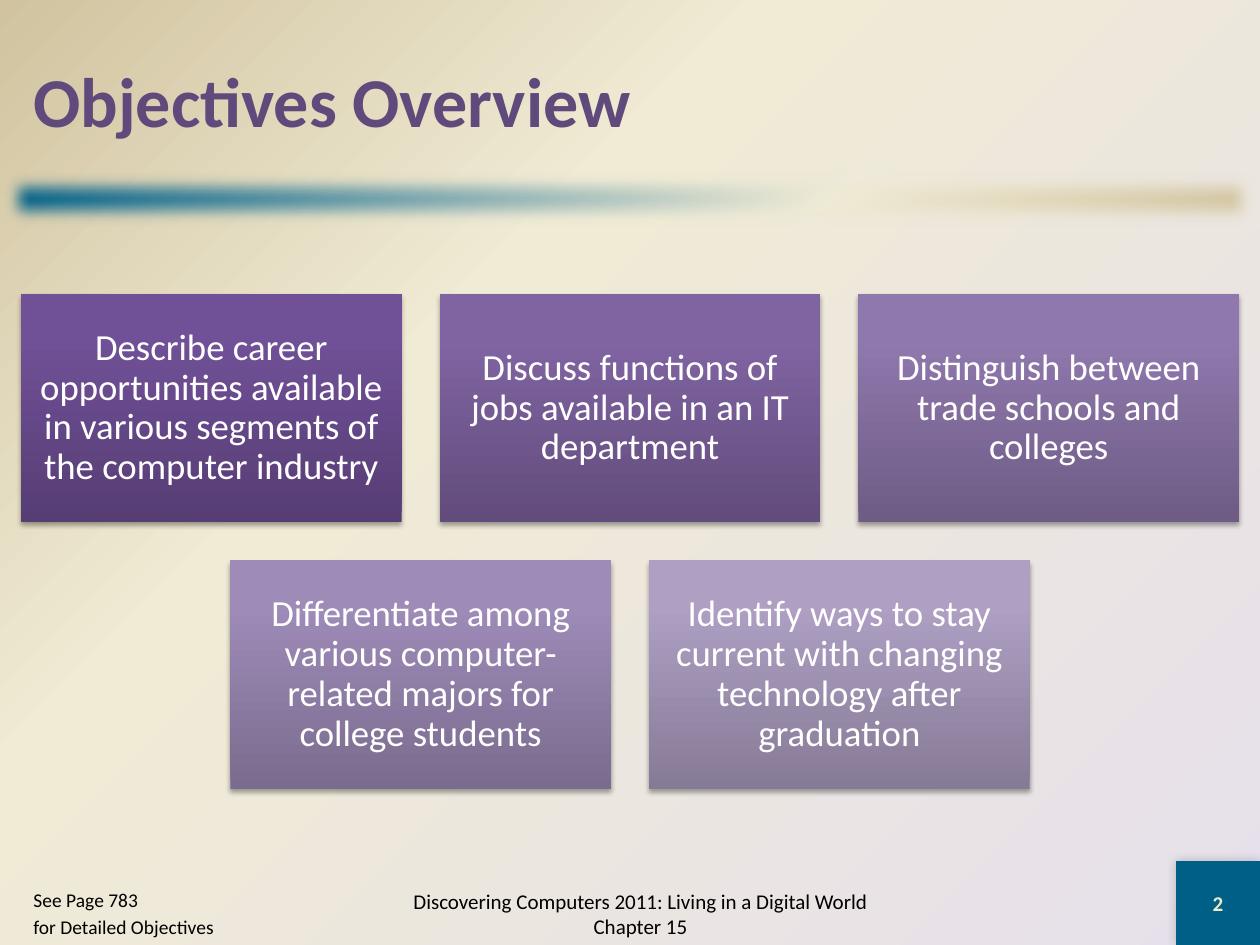
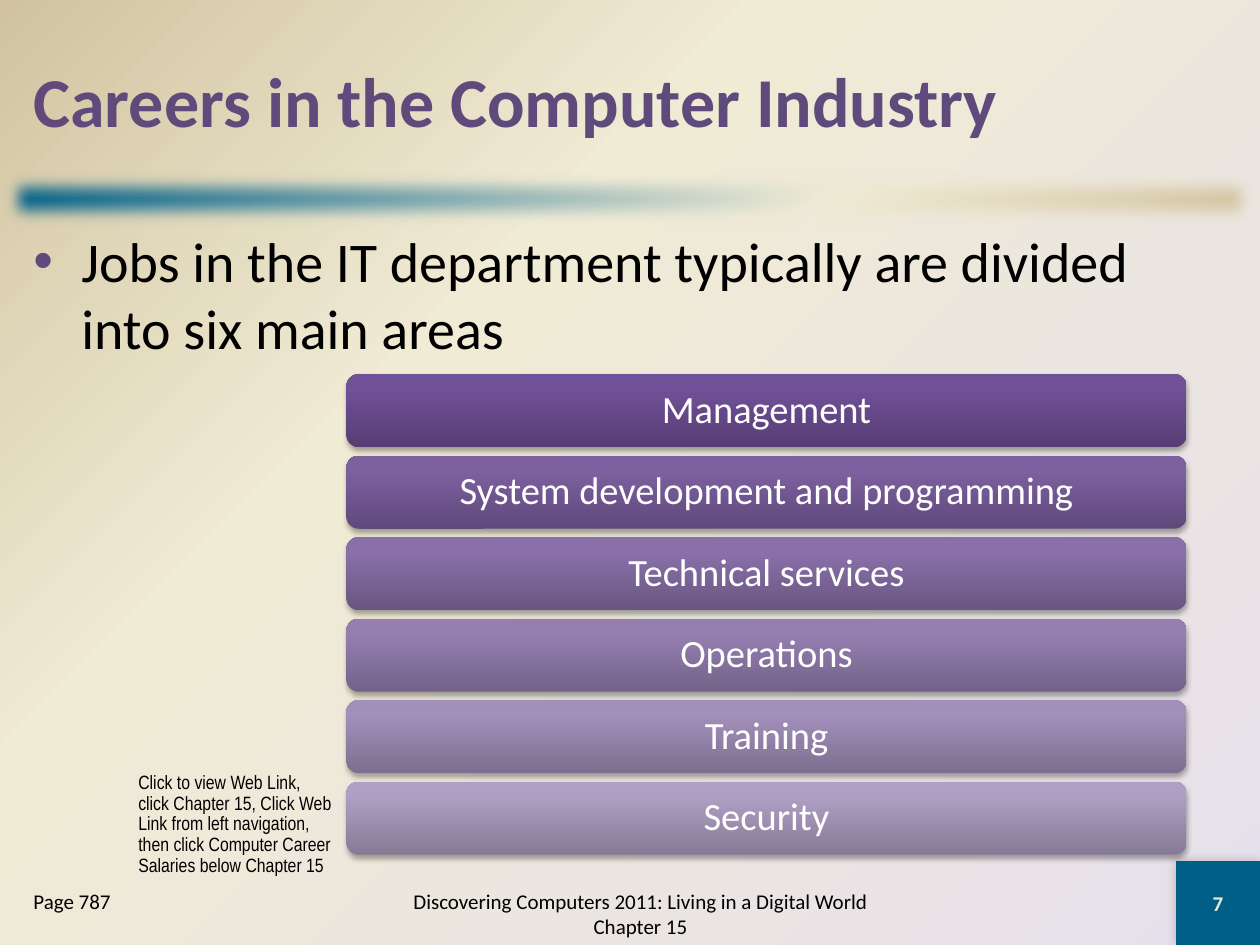
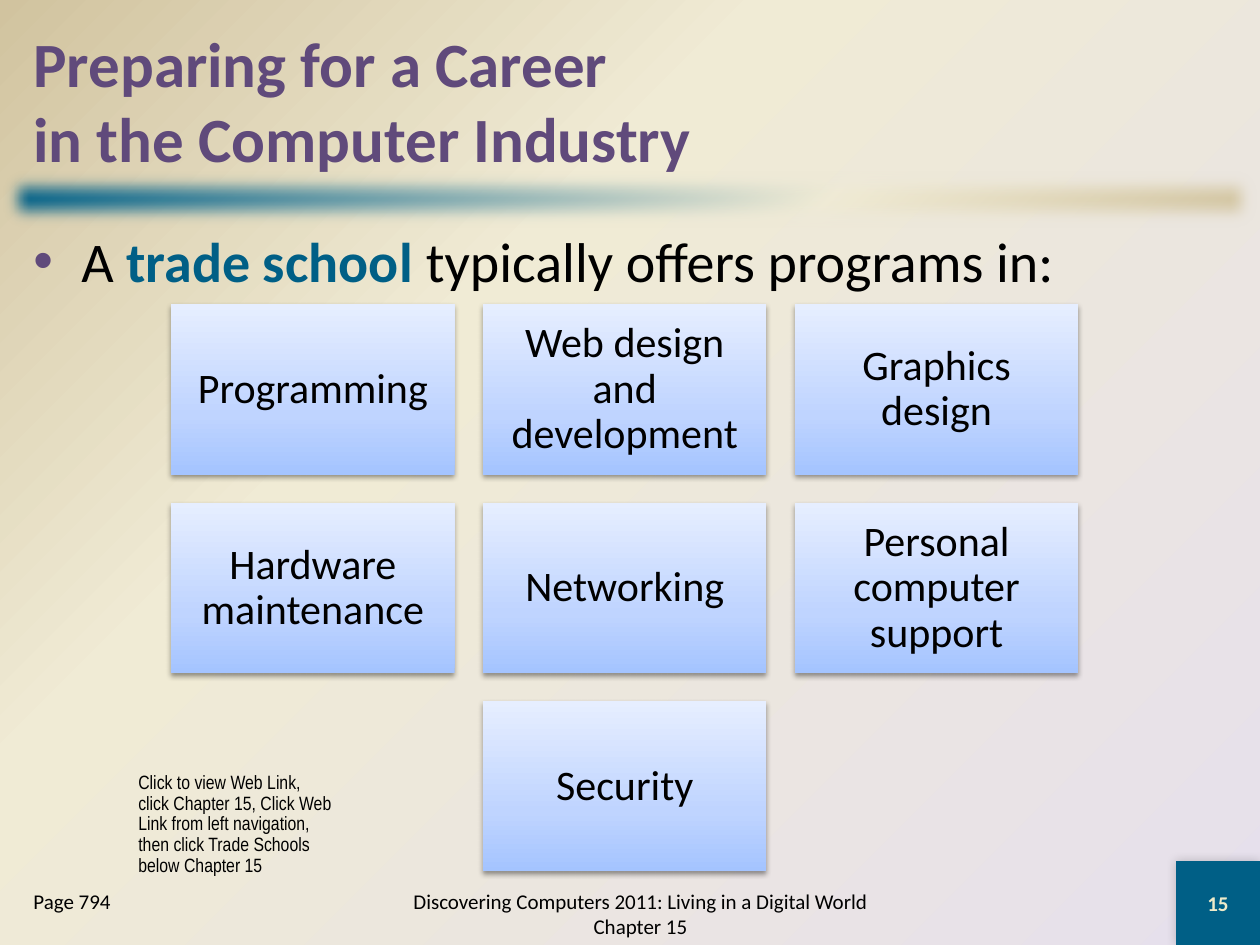
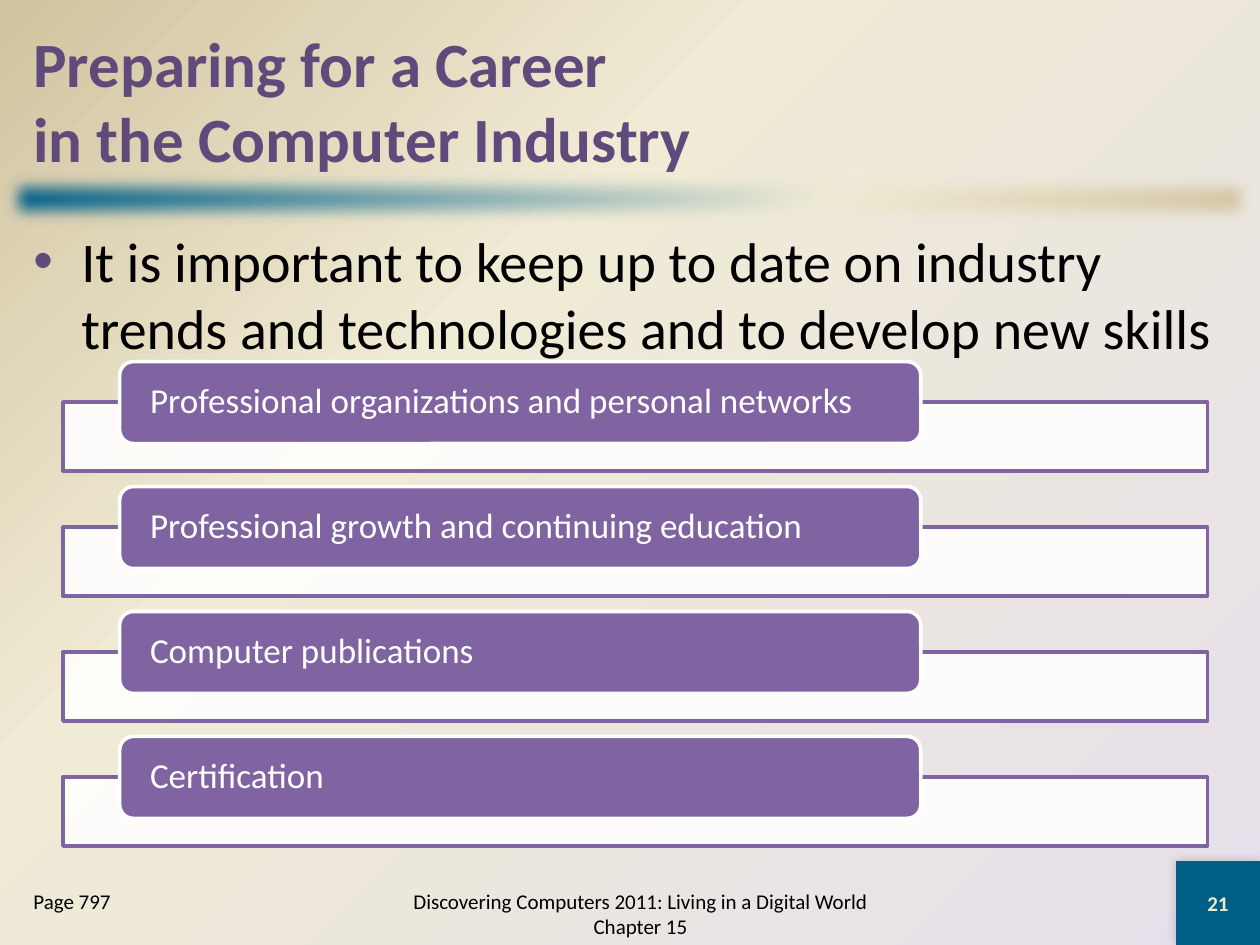
from dataclasses import dataclass

from lxml import etree
from pptx import Presentation
from pptx import util as u
from pptx.dml.color import RGBColor
from pptx.enum import shapes, text
from pptx.oxml.ns import qn

RECT = shapes.MSO_SHAPE.RECTANGLE
ROUND = shapes.MSO_SHAPE.ROUNDED_RECTANGLE
LEFT, MID = text.PP_ALIGN.LEFT, text.PP_ALIGN.CENTER


@dataclass(frozen=True)
class Theme:
    # Colours
    teal: str = "005F86"
    cream: str = "F0EBD5"
    sand: str = "D1C39F"
    lilac: str = "E6E0EC"
    plum: str = "604A7B"
    violet: str = "8064A2"
    pale: str = "EEEBCA"
    white: str = "FFFFFF"
    black: str = "000000"
    # Gradients run from the bottom up, as (position, colour)
    dark: tuple = ((0, "563D74"), (80, "705097"), (100, "704F99"))
    light: tuple = ((0, "867B96"), (80, "AE9FC3"), (100, "AE9FC4"))
    blue: tuple = ((0, "A4C4FF"), (35, "BFD4FF"), (100, "E6EEFF"))
    # Shadows: opacity, blur, distance, direction
    soft: tuple = (35, 3.1, 1.8, 90)
    firm: tuple = (38, 3.1, 1.6, 90)
    glow: tuple = (20, 6, 0, 225)
    # Type
    font: str = "Calibri"
    slim: str = "Arial Narrow"
    head: int = 40
    head2: int = 36
    body: int = 32
    foot: int = 12
    note: int = 11


def add(parent, tag, **attrs):
    """Append one drawing element."""
    node = etree.SubElement(parent, qn("a:" + tag))
    for key, val in attrs.items():
        node.set(key, str(val))
    return node


def blend(a, b, part):
    """Mix two hex colours."""
    pairs = zip(RGBColor.from_string(a), RGBColor.from_string(b))
    return "".join(f"{round(x + (y - x) * part):02X}" for x, y in pairs)


def ramp(first, last, count):
    """Even steps from one gradient to another."""
    return [[(pos, blend(a, b, i / (count - 1)))
             for (pos, a), (_, b) in zip(first, last)] for i in range(count)]


def grade(root, stops, angle=None):
    """Fill in the gradient under root; without an angle it spreads from a corner."""
    fill = root.find(".//" + qn("a:gradFill"))
    fill.clear()
    fill.set("rotWithShape", "1")
    group = add(fill, "gsLst")
    for pos, hue in stops:
        add(add(group, "gs", pos=pos * 1000), "srgbClr", val=hue)
    if angle is None:
        way = add(fill, "path", path="circle")
        add(way, "fillToRect", l=100000, t=100000)
        add(fill, "tileRect", r=-100000, b=-100000)
    else:
        add(fill, "lin", ang=angle * 60000, scaled=0)


class Deck:
    COLS, ROWS = 60, 45

    def __init__(self, theme):
        self.t = theme
        self.prs = Presentation()
        self.prs.slide_width, self.prs.slide_height = u.Inches(10), u.Inches(7.5)
        self.slide = None
        master = self.prs.slide_master
        master.background.fill.gradient()
        grade(master.element, ((0, theme.lilac), (65, theme.cream), (100, theme.sand)))

    def place(self, x, y, w, h):
        """Turn grid columns and rows into lengths."""
        col = self.prs.slide_width / self.COLS
        row = self.prs.slide_height / self.ROWS
        return [round(v) for v in (x * col, y * row, w * col, h * row)]

    def fill_in(self, frame, paras, size, hue, bold=False, font=None, align=LEFT,
                anchor=text.MSO_ANCHOR.MIDDLE, pad=None, lead=None, gap=0):
        """Set paragraphs; one may be a list of (text, accent) parts."""
        frame.word_wrap = True
        frame.vertical_anchor = anchor
        if pad:
            frame.margin_left = frame.margin_right = u.Inches(pad[0])
            frame.margin_top = frame.margin_bottom = u.Inches(pad[1])
        for i, item in enumerate(paras):
            para = frame.add_paragraph() if i else frame.paragraphs[0]
            para.alignment = align
            if lead:
                para.line_spacing = lead
            if i and gap:
                para.space_before = u.Pt(gap)
            if isinstance(item, str):
                para.text = item
                marks = [None] * len(para.runs)
            else:
                for part, _ in item:
                    para.add_run().text = part
                marks = [mark for _, mark in item]
            for run, mark in zip(para.runs, marks):
                run.font.name = font or self.t.font
                run.font.size = u.Pt(size)
                run.font.bold = bold or bool(mark)
                run.font.color.rgb = RGBColor.from_string(mark or hue)

    def label(self, box, paras, size, hue, **look):
        """Add a text box."""
        frame = self.slide.shapes.add_textbox(*self.place(*box)).text_frame
        self.fill_in(frame, paras, size, hue, **look)

    def block(self, box, fill, kind=RECT, angle=270, line=None, shade=None, alpha=None):
        """Add a shape with a plain or graded fill."""
        shape = self.slide.shapes.add_shape(kind, *self.place(*box))
        shape.shadow.inherit = False
        props = shape.element.spPr
        if isinstance(fill, str):
            shape.fill.solid()
            shape.fill.fore_color.rgb = RGBColor.from_string(fill)
            if alpha:
                add(props.find(".//" + qn("a:srgbClr")), "alpha", val=alpha * 1000)
        else:
            shape.fill.gradient()
            grade(props, fill, angle)
        if line:
            shape.line.color.rgb = RGBColor.from_string(line)
            shape.line.width = u.Pt(2)
        else:
            shape.line.fill.background()
        if shade:
            dim, blur, dist, turn = shade
            cast = add(props.find(qn("a:effectLst")), "outerShdw", blurRad=u.Pt(blur),
                       dist=u.Pt(dist), dir=turn * 60000, rotWithShape=0)
            add(add(cast, "srgbClr", val=self.t.black), "alpha", val=dim * 1000)
        return shape

    def page(self, title, number, source, size=None, small=None):
        """Start a slide with its title, band and footers."""
        t = self.t
        self.slide = self.prs.slides.add_slide(self.prs.slide_layouts[6])
        band = self.block((0, 8, 60, 3), ((0, t.teal), (65, t.cream), (100, t.sand)),
                          angle=45)
        add(band.element.spPr.find(qn("a:effectLst")), "softEdge", rad=u.Pt(10))
        badge = self.block((56, 41, 4, 4), t.teal, shade=t.glow)
        self.fill_in(badge.text_frame, [str(number)], t.foot, t.pale, bold=True,
                     align=MID)
        self.label((1, 1, 58, 7.5), [title], size or t.head, t.plum, bold=True)
        self.label((18, 42, 25, 3),
                   ["Discovering Computers 2011: Living in a Digital World Chapter 15"],
                   t.foot, t.black, align=MID)
        self.label((1, 42, 11, 3), source, small or t.foot, t.black,
                   anchor=text.MSO_ANCHOR.TOP, gap=2.2)

    def bullet(self, item):
        """Add the lead statement with its bullet."""
        frame = self.slide.shapes.add_textbox(*self.place(1, 10.5, 58, 30.5)).text_frame
        props = frame.paragraphs[0]._p.get_or_add_pPr()
        props.set("marL", str(u.Inches(0.38)))
        props.set("indent", str(-u.Inches(0.38)))
        add(add(props, "buClr"), "srgbClr", val=self.t.plum)
        add(props, "buFont", typeface="Arial")
        add(props, "buChar", char="•")
        self.fill_in(frame, [item], self.t.body, self.t.black,
                     anchor=text.MSO_ANCHOR.TOP)

    def cards(self, names, fills, x, y, width, size, hue, shade, pad):
        """Rows of three cards; a short last row is centred."""
        w = width / 3.2
        gap, h = w * 0.1, w * 0.6
        for i, (name, fill) in enumerate(zip(names, fills)):
            row, col = divmod(i, 3)
            short = 3 - min(3, len(names) - row * 3)
            box = (x + (col + short / 2) * (w + gap), y + row * (h + gap), w, h)
            card = self.block(box, fill, shade=shade)
            self.fill_in(card.text_frame, [name], size, hue, align=MID,
                         pad=(pad, pad), lead=0.9)

    def bars(self, names):
        """A stack of rounded bars that grow lighter."""
        t = self.t
        for i, fill in enumerate(ramp(t.dark, t.light, len(names))):
            bar = self.block((16.5, 17.82 + i * 3.88, 40, 3.48), fill, ROUND,
                             shade=t.soft)
            self.fill_in(bar.text_frame, [names[i]], 22, t.white, align=MID,
                         pad=(0.09, 0.05), lead=0.9)

    def tabs(self, names):
        """Tabs that overlap the top edge of wide trays."""
        t = self.t
        for i, name in enumerate(names):
            top = 17.22 + i * 5.95
            self.block((3, top + 1.92, 54.5, 3.3), t.white, line=t.violet, alpha=90)
            tab = self.block((5.7, top, 38.15, 3.9), t.violet, ROUND, line=t.white)
            self.fill_in(tab.text_frame, [name], 20, t.white, pad=(0.21, 0), lead=0.9)

    def hint(self, *ends):
        """The small note on where to find the web link."""
        start = ("Click to view Web Link,\vclick Chapter 15, Click Web \v"
                 "Link from left navigation,")
        self.label((6, 36.5, 11.5, 5.6), [start, *ends], self.t.note, self.t.black,
                   font=self.t.slim, lead=0.9, anchor=text.MSO_ANCHOR.TOP)


def main():
    t = Theme()
    deck = Deck(t)
    career = "Preparing for a Career \vin the Computer Industry"

    # Objectives
    deck.page("Objectives Overview", 2, ["See Page 783", "for Detailed Objectives"],
              small=11.1)
    goals = ["Describe career opportunities available in various segments of the "
             "computer industry",
             "Discuss functions of jobs available in an IT department",
             "Distinguish between trade schools and colleges",
             "Differentiate among various computer-related majors for college students",
             "Identify ways to stay current with changing technology after graduation"]
    deck.cards(goals, ramp(t.dark, t.light, len(goals)), 1, 14, 58, 21, t.white,
               t.soft, 0.09)

    # Job areas
    deck.page("Careers in the Computer Industry", 7, ["Page 787"])
    deck.bullet("Jobs in the IT department typically are divided into six main areas")
    deck.bars(["Management", "System development and programming",
               "Technical services", "Operations", "Training", "Security"])
    deck.hint("then click Computer Career Salaries below Chapter 15")

    # Trade schools
    deck.page(career, 15, ["Page 794"], size=t.head2)
    deck.bullet([("A ", None), ("trade school ", t.teal),
                 ("typically offers programs in:", None)])
    fields = ["Programming", "Web design and development", "Graphics design",
              "Hardware maintenance", "Networking", "Personal computer support",
              "Security"]
    deck.cards(fields, [t.blue] * len(fields), 8.15, 14.5, 43.2, 24, t.black,
               t.firm, 0.1)
    deck.hint("then click Trade Schools", "below Chapter 15")

    # Keeping up to date
    deck.page(career, 21, ["Page 797"], size=t.head2)
    deck.bullet("It is important to keep up to date on industry trends and "
                "technologies and to develop new skills")
    deck.tabs(["Professional organizations and personal networks",
               "Professional growth and continuing education",
               "Computer publications", "Certification"])

    deck.prs.save("out.pptx")


if __name__ == "__main__":
    main()
